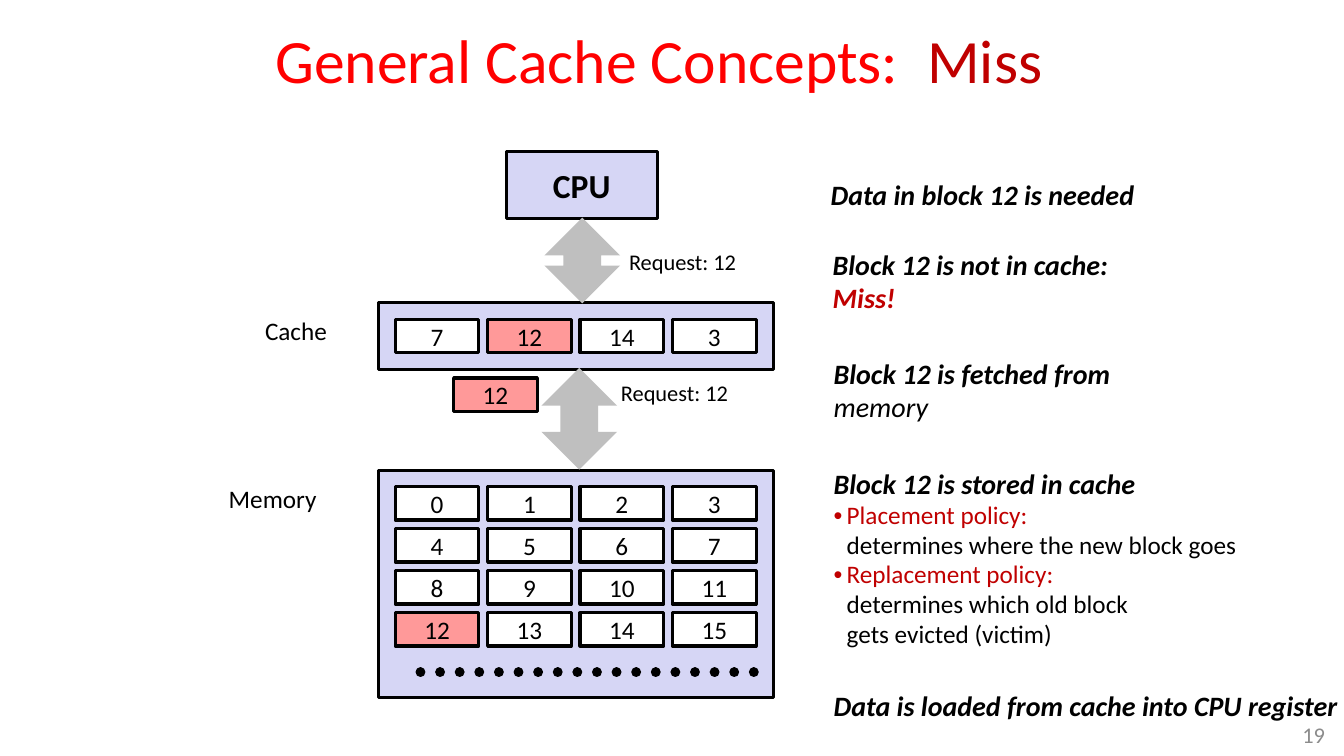
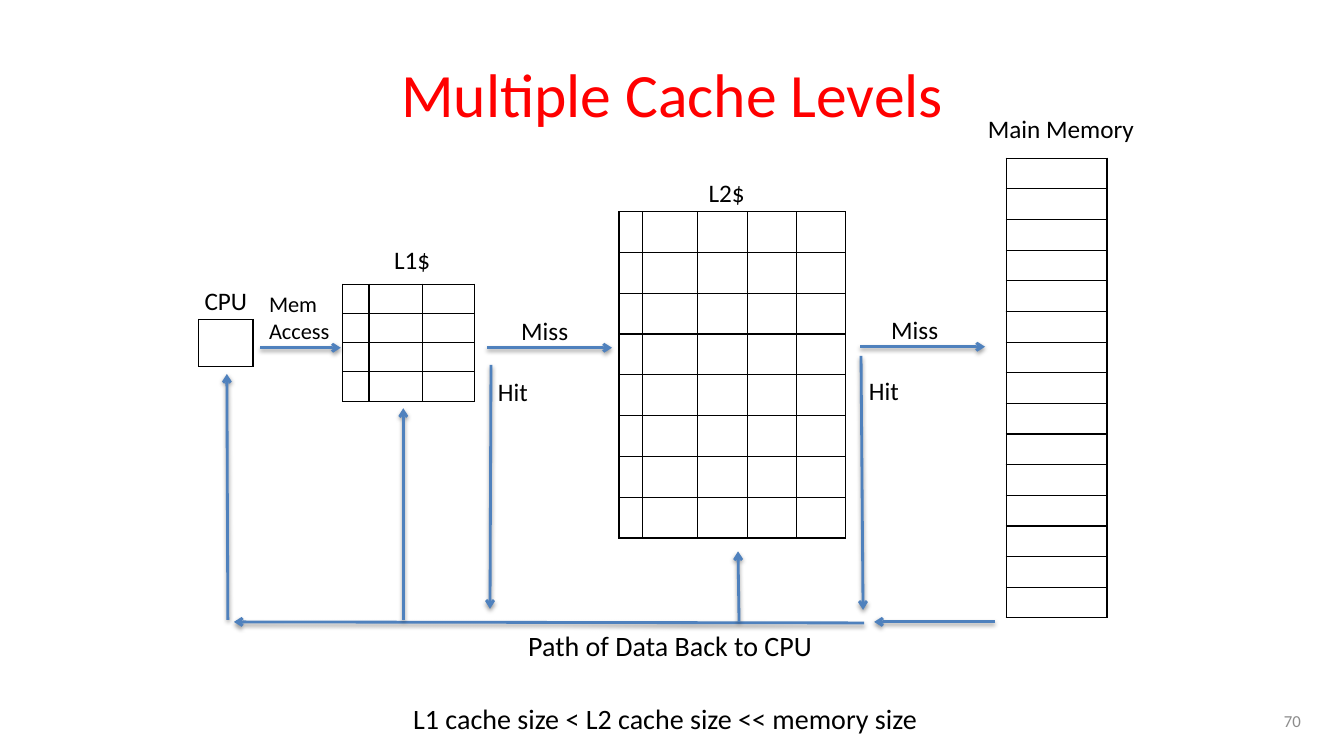
from lxml.etree import SubElement
from pptx import Presentation
from pptx.dml.color import RGBColor
from pptx.enum.dml import MSO_LINE
from pptx.enum.shapes import MSO_CONNECTOR, MSO_SHAPE
from pptx.enum.text import MSO_ANCHOR as Anchor, PP_ALIGN as Align
from pptx.oxml.ns import qn
from pptx.util import Inches, Pt

COLORS = {
    "title": "FF0000", "accent": "C00000", "text": "000000", "number": "8C8C8C",
    "panel": "D6D6F5", "cell": "FFFFFF", "hit": "FF9999",
    "arrow": "BFBFBF", "flow": "4F81BD",
}
RGB = {name: RGBColor.from_string(value) for name, value in COLORS.items()}
FONT = "Calibri"


def write(frame, lines, size, color="text", align=Align.LEFT, anchor=Anchor.TOP, bold=False, italic=False):
    frame.word_wrap = True
    frame.vertical_anchor = anchor
    frame.text = "\n".join(lines)
    for para in frame.paragraphs:
        para.alignment = align
        for span in para.runs:
            span.font.name = FONT
            span.font.size = Pt(size)
            span.font.color.rgb = RGB[color]
            span.font.bold = bold
            span.font.italic = italic
    return frame.paragraphs


def add_label(page, place, lines, size, **style):
    box = page.shapes.add_textbox(*map(Inches, place))
    return write(box.text_frame, lines, size, **style)


deck = Presentation()
deck.slide_width = Inches(13.33)
deck.slide_height = Inches(7.5)
blank = deck.slide_layouts[6]
pages = []
for title, title_place, number, number_place, number_size in [
    ("General Cache Concepts:  ", (1.22, 0.18, 10.63, 0.81), "19", (12.57, 7.08, 0.67, 0.42), 16),
    ("Multiple Cache Levels", (0.67, 0.3, 12, 1.25), "70", (9.89, 6.95, 3.11, 0.4), 12),
]:
    page = deck.slides.add_slide(blank)
    heading = add_label(page, title_place, [title], 44, color="title", align=Align.CENTER, anchor=Anchor.MIDDLE)
    add_label(page, number_place, [number], number_size, color="number", align=Align.RIGHT, anchor=Anchor.MIDDLE)
    pages.append((page, heading[0]))

miss_page, miss_title = pages[0]
span = miss_title.add_run()
span.text = "Miss"
span.font.name = FONT
span.font.size = Pt(44)
span.font.color.rgb = RGB["accent"]

CELL_LEFT, CELL_WIDTH, CELL_HEIGHT = 3.92, 0.83, 0.33
COLUMN_STEP, ROW_STEP = 11 / 12, 5 / 12
blocks = [
    (3.75, 4.67, 3.92, 2.25, "", "panel"),
    (3.75, 3, 3.92, 0.67, "", "panel"),
    (5.02, 1.5, 1.5, 0.67, "CPU", "panel"),
    (4.5, 3.75, CELL_WIDTH, CELL_HEIGHT, "12", "hit"),
]
cached = [(3.17, column, value) for column, value in enumerate([7, 12, 14, 3])]
stored = [(4.83 + value // 4 * ROW_STEP, value % 4, value) for value in range(16)]
for top, column, value in cached + stored:
    left = CELL_LEFT + column * COLUMN_STEP
    blocks.append((left, top, CELL_WIDTH, CELL_HEIGHT, str(value), "hit" if value == 12 else "cell"))

for left, top, width, height, text, fill in blocks:
    block = miss_page.shapes.add_shape(
        MSO_SHAPE.RECTANGLE, Inches(left), Inches(top), Inches(width), Inches(height))
    block.shadow.inherit = False
    block.fill.solid()
    block.fill.fore_color.rgb = RGB[fill]
    block.line.color.rgb = RGB["text"]
    block.line.width = Pt(2.25)
    if text:
        is_cpu = text == "CPU"
        frame = block.text_frame
        frame.margin_top = frame.margin_bottom = 0
        write(frame, [text], 24 if is_cpu else 18, align=Align.CENTER, anchor=Anchor.MIDDLE, bold=is_cpu)

for left, top, height in [(5.37, 3.65, 1.01), (5.4, 2.16, 0.85)]:
    arrow = miss_page.shapes.add_shape(
        MSO_SHAPE.UP_DOWN_ARROW, Inches(left), Inches(top), Inches(0.75), Inches(height))
    arrow.shadow.inherit = False
    arrow.fill.solid()
    arrow.fill.fore_color.rgb = RGB["arrow"]
    arrow.line.fill.background()

dots = miss_page.shapes.add_connector(
    MSO_CONNECTOR.STRAIGHT, Inches(4.17), Inches(6.67), Inches(7.5), Inches(6.67))
dots.line.color.rgb = RGB["text"]
dots.line.width = Pt(7)
dots.line.dash_style = MSO_LINE.ROUND_DOT
dots_props = dots.element.spPr
dots_props.find(qn("a:ln")).set("cap", "rnd")
SubElement(dots_props, qn("a:effectLst"))

for place, text, size, align in [
    ((2.53, 3.08, 0.82, 0.4), "Cache", 18, Align.LEFT),
    ((2.17, 4.75, 1.08, 0.4), "Memory", 18, Align.LEFT),
    ((6.12, 2.41, 1.3, 0.37), "Request: 12", 16, Align.CENTER),
    ((6.04, 3.71, 1.3, 0.37), "Request: 12", 16, Align.CENTER),
]:
    add_label(miss_page, place, [text], size, align=align)

for place, lines in [
    ((8.14, 1.73, 3.23, 0.43), ["Data in block 12 is needed"]),
    ((8.16, 2.42, 2.95, 0.76), ["Block 12 is not in cache:", "Miss!"]),
    ((8.17, 3.5, 2.96, 0.76), ["Block 12 is fetched from", "memory"]),
    ((8.17, 4.58, 4.24, 1.92), [
        "Block 12 is stored in cache",
        "Placement policy:\vdetermines where the new block goes",
        "Replacement policy:\vdetermines which old block\vgets evicted (victim)",
    ]),
    ((8.17, 6.8, 5.29, 0.43), ["Data is loaded from cache into CPU register"]),
]:
    for para in add_label(miss_page, place, lines, 20, anchor=Anchor.MIDDLE, bold=True, italic=True):
        para.line_spacing = 0.98
        first = para.runs[0]
        if first.text == "memory":
            first.font.bold = False
        if first.text == "Miss!" or "policy" in first.text:
            first.font.color.rgb = RGB["accent"]
        if "policy" in first.text:
            for span in para.runs:
                span.font.size = Pt(18)
                span.font.bold = span.font.italic = False
            props = para._p.get_or_add_pPr()
            props.set("marL", str(Inches(0.13)))
            props.set("indent", str(-Inches(0.13)))
            SubElement(props, qn("a:buFont"), typeface="Arial")
            SubElement(props, qn("a:buChar"), char="•")

levels_page = pages[1][0]
MEMORY_ROW = 0.304
memory_parts = [(9.98, 1.57 + part * 5 * MEMORY_ROW, [1], 5, MEMORY_ROW) for part in range(3)]
for left, top, widths, row_count, row_height in [
    (1.97, 3.17, [0.54], 1, 0.47),
    (3.4, 2.82, [0.26, 0.53, 0.52], 4, 0.29),
    (6.14, 2.1, [0.23, 0.55, 0.49, 0.49, 0.49], 8, 0.405),
    *memory_parts,
]:
    table = levels_page.shapes.add_table(
        row_count, len(widths), Inches(left), Inches(top),
        Inches(sum(widths)), Inches(row_count * row_height)).table
    table.first_row = table.horz_banding = False
    for column, width in zip(table.columns, widths):
        column.width = Inches(width)
    for row in table.rows:
        row.height = Inches(row_height)
    for cell in table.iter_cells():
        cell.margin_left = cell.margin_right = cell.margin_top = cell.margin_bottom = 0
        SubElement(cell.text_frame.paragraphs[0]._p, qn("a:endParaRPr"), sz="800")
        props = cell._tc.get_or_add_tcPr()
        for side in ("a:lnL", "a:lnR", "a:lnT", "a:lnB"):
            border = SubElement(props, qn(side), w=str(Pt(1)))
            paint = SubElement(border, qn("a:solidFill"))
            SubElement(paint, qn("a:srgbClr"), val=COLORS["text"])
        cell.fill.background()

for ends in [
    (4.83, 3.45, 6.07, 3.45),
    (8.53, 3.44, 9.77, 3.44),
    (2.58, 3.45, 3.38, 3.45),
    (4.87, 3.62, 4.86, 6.04),
    (8.54, 3.53, 8.56, 6.05),
    (9.87, 6.17, 8.67, 6.17),
    (8.57, 6.18, 2.32, 6.17),
    (2.26, 6.15, 2.25, 3.71),
    (4, 6.15, 4, 4.05),
    (7.33, 6.17, 7.32, 5.47),
]:
    flow = levels_page.shapes.add_connector(MSO_CONNECTOR.STRAIGHT, *map(Inches, ends))
    flow.line.color.rgb = RGB["flow"]
    flow.line.width = Pt(2)
    props = flow.element.spPr
    SubElement(props.find(qn("a:ln")), qn("a:tailEnd"), type="arrow")
    effects = SubElement(props, qn("a:effectLst"))
    shadow = SubElement(
        effects, qn("a:outerShdw"), blurRad=str(Pt(3.1)), dist=str(Pt(1.6)), dir="5400000", rotWithShape="0")
    tint = SubElement(shadow, qn("a:srgbClr"), val=COLORS["text"])
    SubElement(tint, qn("a:alpha"), val="38000")

for place, lines, size in [
    ((3.81, 2.37, 0.62, 0.4), ["L1$"], 18),
    ((6.93, 1.71, 0.62, 0.4), ["L2$"], 18),
    ((9.7, 1.08, 1.77, 0.4), ["Main Memory"], 18),
    ((1.93, 2.78, 0.75, 0.4), ["CPU"], 18),
    ((2.57, 2.83, 0.96, 0.64), ["Mem", "Access"], 16),
    ((5.07, 3.08, 0.75, 0.4), ["Miss"], 18),
    ((4.84, 3.68, 0.75, 0.4), ["Hit"], 18),
    ((8.74, 3.07, 0.75, 0.4), ["Miss"], 18),
    ((8.52, 3.67, 0.75, 0.4), ["Hit"], 18),
    ((5.14, 6.19, 3.75, 0.44), ["Path of Data Back to CPU"], 20),
    ((4, 6.91, 6.17, 0.44), ["L1 cache size < L2 cache size << memory size"], 20),
]:
    add_label(levels_page, place, lines, size)

deck.save("out.pptx")
